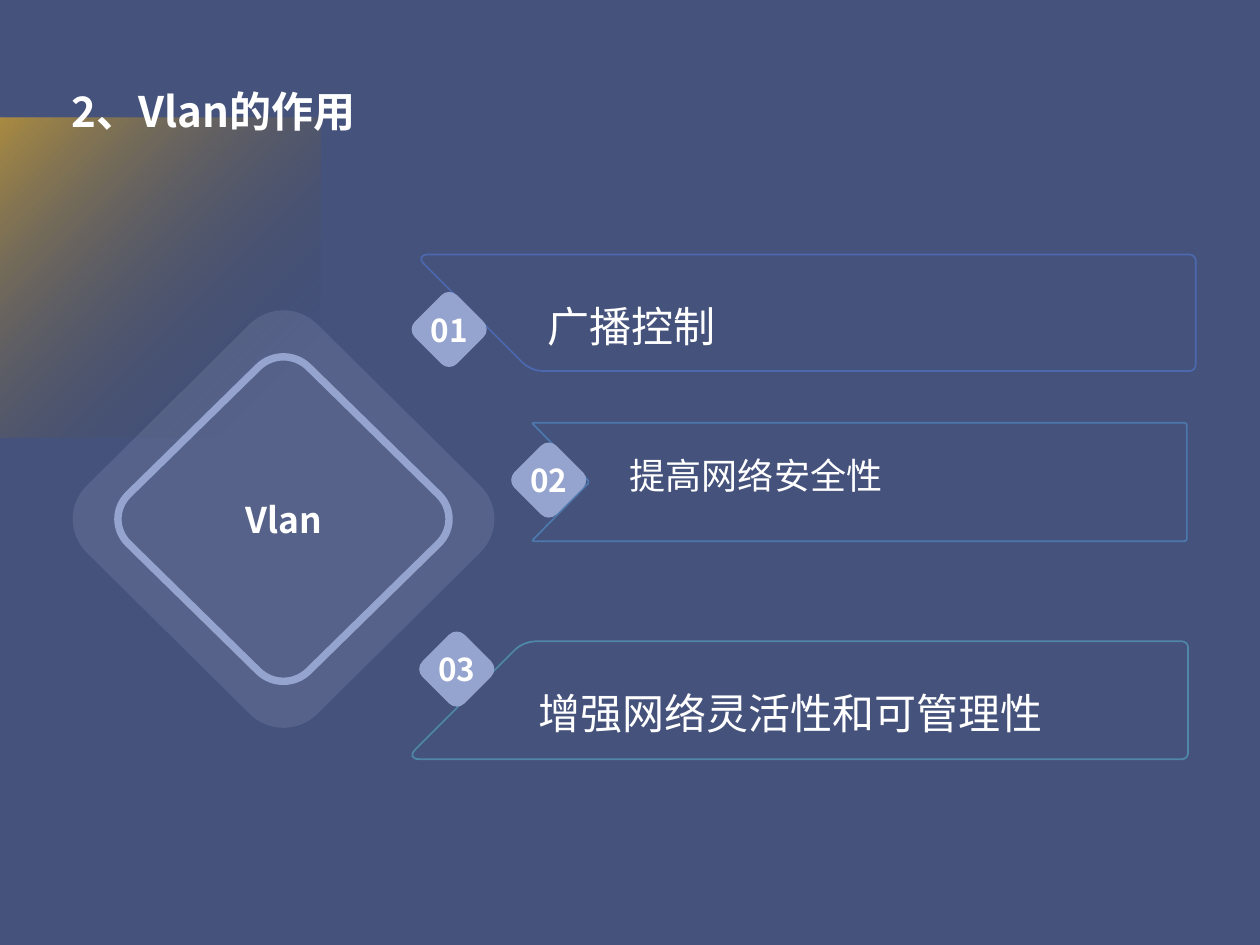
import math

import pptx
import pptx.dml.color
import pptx.enum.shapes
import pptx.enum.text
import pptx.oxml
import pptx.oxml.ns
import pptx.util

RGBColor = pptx.dml.color.RGBColor
NAVY = RGBColor(0x45, 0x52, 0x7B)
WHITE = RGBColor(0xFF, 0xFF, 0xFF)
HALO = RGBColor(0xB8, 0xC2, 0xDE)
LILAC = RGBColor(0x95, 0xA4, 0xCE)
GOLD = RGBColor(0xED, 0xB1, 0x1B)
MIDNIGHT = RGBColor(0x28, 0x34, 0x56)
BLUE = RGBColor(0x4C, 0x69, 0xB0)
STEEL = RGBColor(0x4C, 0x78, 0xAE)
TEAL = RGBColor(0x4F, 0x87, 0xA8)

FONT = "Noto Sans CJK SC"
COLUMNS, ROWS = 100, 75
CURVE_PULL = 0.56
CELL = pptx.util.Inches(10) // COLUMNS
LEFT = pptx.enum.text.PP_ALIGN.LEFT
CENTER = pptx.enum.text.PP_ALIGN.CENTER
MIDDLE = pptx.enum.text.MSO_ANCHOR.MIDDLE
BOTTOM = pptx.enum.text.MSO_ANCHOR.BOTTOM


def cells(count):
    return round(count * CELL)


def write_text(shape, text, size, bold=False, align=LEFT, anchor=MIDDLE,
               insets=(0, 0, 0, 0), spacing=1.0):
    frame = shape.text_frame
    frame.word_wrap = True
    frame.auto_size = pptx.enum.text.MSO_AUTO_SIZE.NONE
    frame.vertical_anchor = anchor
    (frame.margin_left, frame.margin_top,
     frame.margin_right, frame.margin_bottom) = map(cells, insets)
    para = frame.paragraphs[0]
    para.alignment = align
    para.line_spacing = spacing
    span = para.add_run()
    span.text = text
    span.font.name = FONT
    span.font.size = pptx.util.Pt(size)
    span.font.bold = bold
    span.font.color.rgb = WHITE
    east_asian = span.font._element.makeelement(pptx.oxml.ns.qn("a:ea"), {"typeface": FONT})
    span.font._element.find(pptx.oxml.ns.qn("a:latin")).addnext(east_asian)


def toward(start, end, share):
    return tuple(a + (b - a) * share for a, b in zip(start, end))


def corner_curves(corners, cuts):
    curves = []
    for index, (corner, cut) in enumerate(zip(corners, cuts)):
        before, after = corners[index - 1], corners[(index + 1) % len(corners)]
        enter = toward(corner, before, cut / math.dist(corner, before))
        leave = toward(corner, after, cut / math.dist(corner, after))
        curves.append((enter, toward(enter, corner, CURVE_PULL),
                       toward(leave, corner, CURVE_PULL), leave))
    return curves


def curve_point(curve, share):
    weights = [math.comb(3, k) * share**k * (1 - share)**(3 - k) for k in range(4)]
    return tuple(sum(w * point[axis] for w, point in zip(weights, curve)) for axis in (0, 1))


def add_step(outline, tag, points, origin):
    step = outline.makeelement(pptx.oxml.ns.qn(tag), {})
    for point in points:
        x, y = (str(cells(a - b)) for a, b in zip(point, origin))
        step.append(step.makeelement(pptx.oxml.ns.qn("a:pt"), {"x": x, "y": y}))
    outline.append(step)


def add_rounded(page, corners, cuts, fill=None, line=None, width=1.0, alpha=None):
    curves = corner_curves(corners, cuts)
    reached = [curve_point(curve, step / 8) for curve in curves for step in range(9)]
    low, high = (tuple(pick(axis) for axis in zip(*reached)) for pick in (min, max))
    builder = page.shapes.build_freeform(*map(cells, low), scale=1.0)
    builder.add_line_segments([tuple(map(cells, high))])
    shape = builder.convert_to_shape()
    outline = shape._element.spPr.find(".//" + pptx.oxml.ns.qn("a:path"))
    for step in list(outline):
        outline.remove(step)
    for index, curve in enumerate(curves):
        add_step(outline, "a:lnTo" if index else "a:moveTo", curve[:1], low)
        add_step(outline, "a:cubicBezTo", curve[1:], low)
    add_step(outline, "a:close", (), low)

    shape.shadow.inherit = False
    if fill is None:
        shape.fill.background()
    else:
        shape.fill.solid()
        shape.fill.fore_color.rgb = fill
    if alpha is not None:
        color = shape._element.spPr.find(".//" + pptx.oxml.ns.qn("a:srgbClr"))
        color.append(color.makeelement(pptx.oxml.ns.qn("a:alpha"), {"val": str(alpha * 1000)}))
    if line is None:
        shape.line.fill.background()
    else:
        shape.line.color.rgb = line
        shape.line.width = pptx.util.Pt(width)
    return shape


def add_diamond(page, center, half, cut, aspect=1.0, **style):
    x, y = center
    rise = half * aspect
    corners = [(x - half, y), (x, y - rise), (x + half, y), (x, y + rise)]
    return add_rounded(page, corners, [cut] * 4, **style)


def add_glow(page, left, top, side):
    glow = page.shapes.add_shape(pptx.enum.shapes.MSO_SHAPE.RECTANGLE,
                                 cells(left), cells(top), cells(side), cells(side))
    glow.shadow.inherit = False
    glow.line.fill.background()
    glow.fill.background()
    gradient = pptx.oxml.parse_xml(
        f'<a:gradFill {pptx.oxml.ns.nsdecls("a")} rotWithShape="1"><a:gsLst>'
        f'<a:gs pos="0"><a:srgbClr val="{GOLD}"><a:alpha val="60000"/></a:srgbClr></a:gs>'
        f'<a:gs pos="84000"><a:srgbClr val="{MIDNIGHT}"><a:alpha val="0"/></a:srgbClr></a:gs>'
        '</a:gsLst><a:path path="circle"><a:fillToRect r="100000" b="100000"/></a:path>'
        '</a:gradFill>')
    properties = glow._element.spPr
    properties.replace(properties.find(pptx.oxml.ns.qn("a:noFill")), gradient)


def add_title(page, text, left, top, width, height):
    title = page.shapes.title
    title.left, title.top = cells(left), cells(top)
    title.width, title.height = cells(width), cells(height)
    write_text(title, text, 24, bold=True, anchor=BOTTOM)
    page.shapes._spTree.append(title._element)


def add_hub(page, text, center):
    ring = add_diamond(page, center, 14.3, 2.8, aspect=0.98, line=LILAC, width=4.25)
    write_text(ring, text, 20.2, bold=True, align=CENTER, insets=(3, 0, 3, 0))


def add_panel(page, text, box, edge, cuts, line, size=24, insets=(10, 0, 0, 0)):
    left, top, right, bottom = box
    corners = [(left + edge[0], top), (right, top), (right, bottom), (left + edge[-1], bottom)]
    if len(edge) == 3:
        corners.append((left + edge[1], (top + bottom) / 2))
    panel = add_rounded(page, corners, cuts, line=line)
    write_text(panel, text, size, insets=insets, spacing=1.5)


def add_badge(page, text, center):
    badge = add_diamond(page, center, 3.34, 0.87, fill=LILAC)
    write_text(badge, text, 18, bold=True, align=CENTER)


def main():
    deck = pptx.Presentation()
    deck.slide_width, deck.slide_height = cells(COLUMNS), cells(ROWS)
    page = deck.slides.add_slide(deck.slide_layouts[5])
    page.background.fill.solid()
    page.background.fill.fore_color.rgb = NAVY

    hub_center = (22.5, 41.2)
    add_glow(page, 0, 9.35, 25.4)
    add_diamond(page, hub_center, 18.3, 3.8, aspect=0.99, fill=HALO, alpha=15)

    add_panel(page, "提高网络安全性", (42.2, 33.55, 94.2, 42.95), (0, 4.6, 0), [0.15] * 5, STEEL,
              size=20.6, insets=(7.7, 0, 0, 2.8))
    add_panel(page, "广播控制", (32.9, 20.2, 94.9, 29.45), (0, 9.25),
              (1.1, 0.5, 0.5, 0.9), BLUE)
    add_panel(page, "增强网络灵活性和可管理性", (32.2, 50.9, 94.3, 60.25), (9.35, 0),
              (0.9, 0.5, 0.5, 1.1), TEAL)

    badge_centers = [(35.65, 26.15), (43.55, 38.1), (36.25, 53.1)]
    for number, center in enumerate(badge_centers, start=1):
        add_badge(page, f"{number:02d}", center)

    add_hub(page, "Vlan", hub_center)
    add_title(page, "2、Vlan的作用", 5.7, 4.9, 88.6, 5.9)
    deck.save("out.pptx")


if __name__ == "__main__":
    main()
